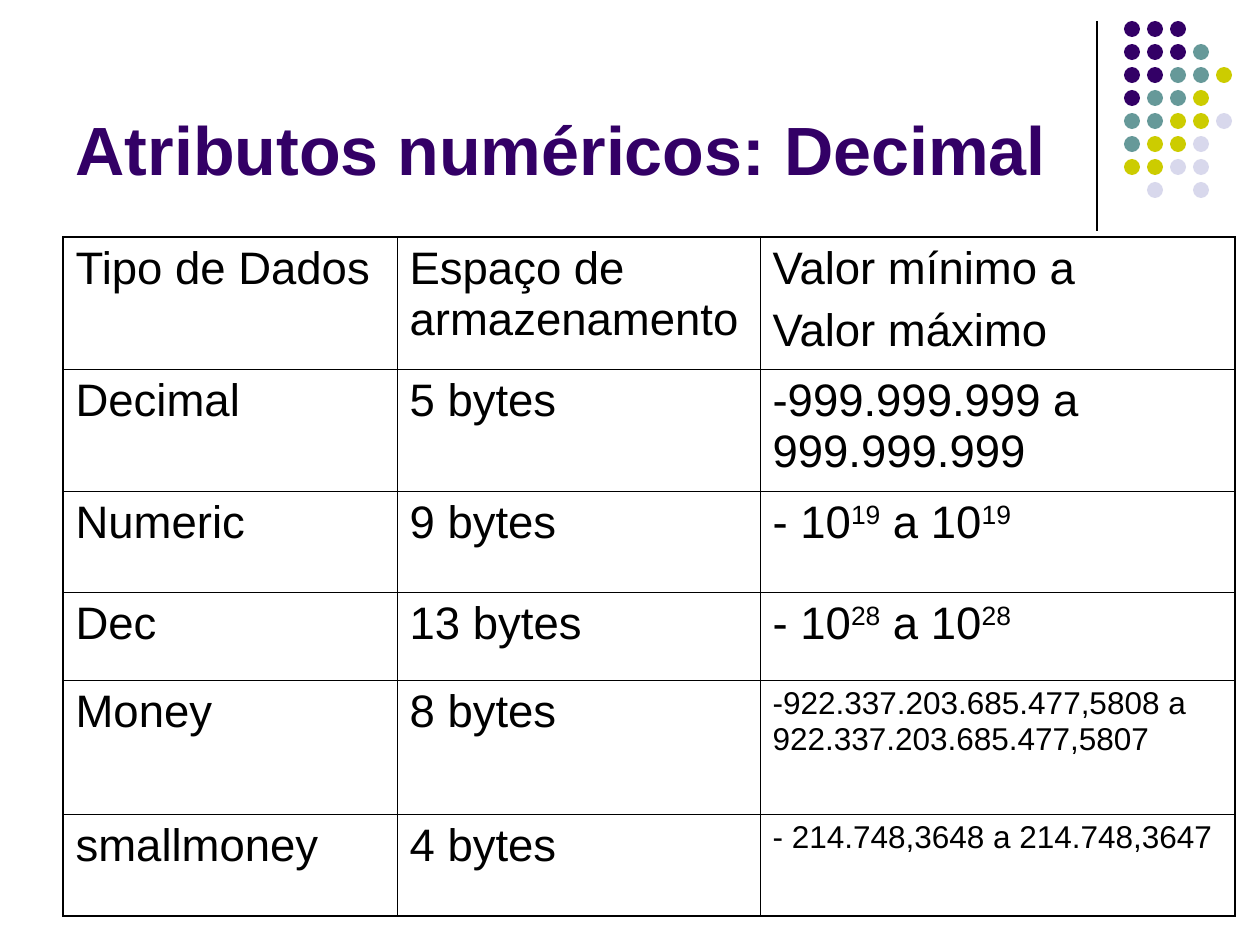
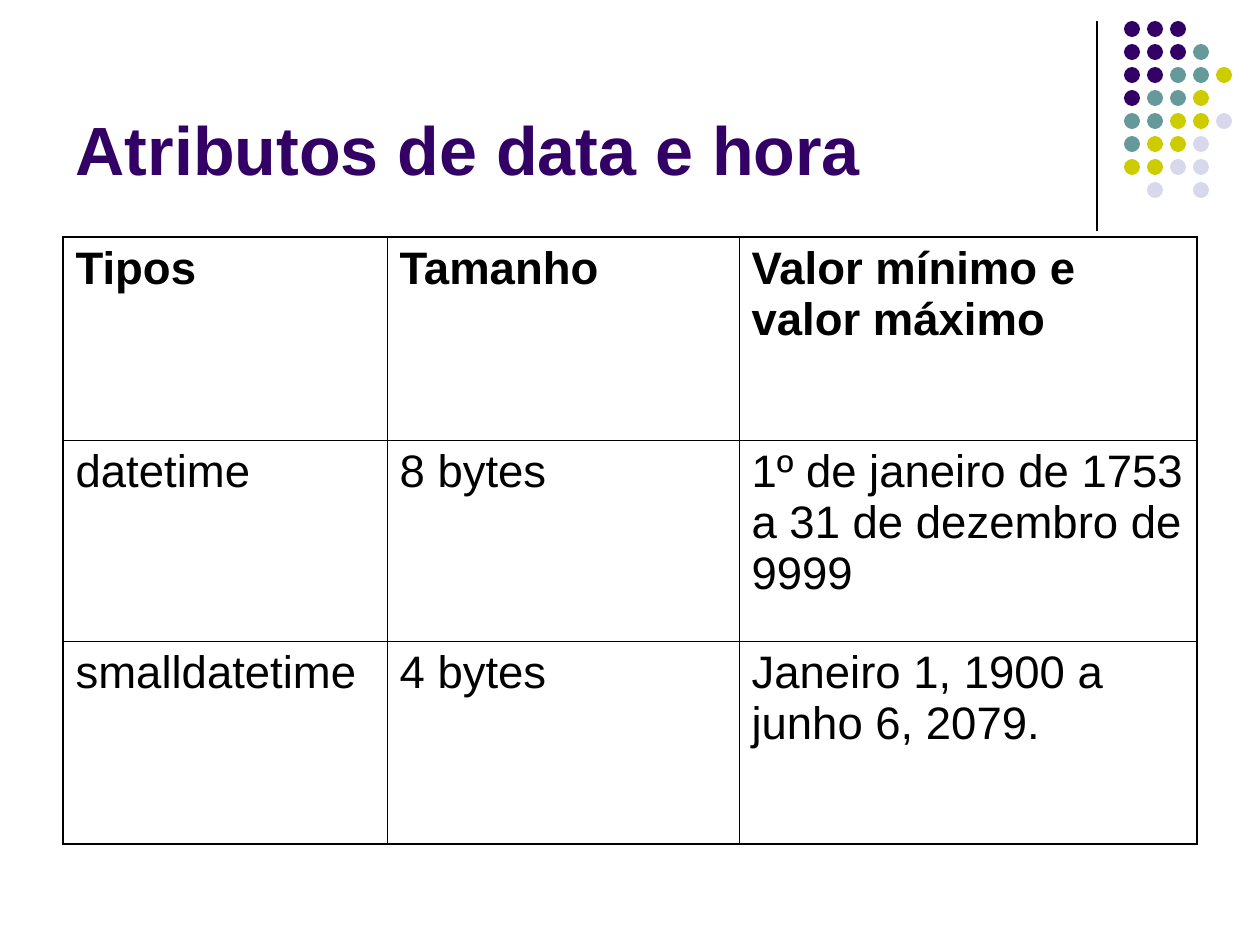
"""Build two slides on numeric and date attributes, each with a titled table."""
import dataclasses
import typing

import pptx
import pptx.dml.color
import pptx.enum.shapes
import pptx.enum.text
import pptx.oxml
import pptx.oxml.ns
import pptx.util

EMU_PER_PX = 914400 / 126
PURPLE = pptx.dml.color.RGBColor(0x33, 0x00, 0x66)
TEAL = pptx.dml.color.RGBColor(0x66, 0x99, 0x99)
OLIVE = pptx.dml.color.RGBColor(0xCC, 0xCC, 0x00)
LAVENDER = pptx.dml.color.RGBColor(0xD8, 0xD8, 0xEC)
BLACK = pptx.dml.color.RGBColor(0x00, 0x00, 0x00)
FONT = "Arial"
OUTER_BORDER = pptx.util.Pt(1.08)
INNER_BORDER = pptx.util.Pt(0.45)
TABLE_LEFT, TABLE_TOP = 63, 237
DOT_LEFT, DOT_TOP, DOT_PITCH, DOT_SIZE = 1124, 21, 23, 16
DOT_COLORS = {"P": PURPLE, "T": TEAL, "O": OLIVE, "L": LAVENDER}
DOT_ROWS = ("PPP", "PPPT", "PPTTO", "PTTO", "TTOOL", "TOOL", "OOLL", ".L.L")


@dataclasses.dataclass(frozen=True)
class Cell:
    text: str
    size: int = 26
    bold: bool = False


@dataclasses.dataclass(frozen=True)
class TableSlide:
    title: str
    column_widths: tuple[int, ...]
    row_heights: tuple[int, ...]
    rows: tuple[tuple[Cell, ...], ...]


TABLE_SLIDES = (
    TableSlide(
        "Atributos numéricos: Decimal",
        (334, 363, 475),
        (132, 122, 101, 88, 134, 102),
        (
            (Cell("Tipo de Dados"), Cell("Espaço de armazenamento"), Cell("Valor mínimo a\nValor máximo")),
            (Cell("Decimal"), Cell("5 bytes"), Cell("-999.999.999 a 999.999.999")),
            (Cell("Numeric"), Cell("9 bytes"), Cell("- 10^19^ a 10^19^")),
            (Cell("Dec"), Cell("13 bytes"), Cell("- 10^28^ a 10^28^")),
            (Cell("Money"), Cell("8 bytes"), Cell("-922.337.203.685.477,5808 a 922.337.203.685.477,5807", 18)),
            (Cell("smallmoney"), Cell("4 bytes"), Cell("- 214.748,3648 a 214.748,3647", 18)),
        ),
    ),
    TableSlide(
        "Atributos de data e hora",
        (324, 352, 458),
        (203, 201, 203),
        (
            (Cell("Tipos", bold=True), Cell("Tamanho", bold=True), Cell("Valor mínimo e valor máximo", bold=True)),
            (Cell("datetime"), Cell("8 bytes"), Cell("1º de janeiro de 1753 a 31 de dezembro de 9999")),
            (Cell("smalldatetime"), Cell("4 bytes"), Cell("Janeiro 1, 1900 a junho 6, 2079.")),
        ),
    ),
)


def px(length: int) -> pptx.util.Emu:
    return pptx.util.Emu(round(length * EMU_PER_PX))


def apply_format(target: typing.Any, values: dict[str, typing.Any]) -> None:
    for name, value in values.items():
        setattr(target, name, value)


def format_font(font: typing.Any, size: int, bold: bool, color: pptx.dml.color.RGBColor) -> None:
    apply_format(font, {"name": FONT, "size": pptx.util.Pt(size), "bold": bold})
    font.color.rgb = color


def add_title(slide: typing.Any, text: str) -> None:
    title = slide.shapes.title
    apply_format(title, {"left": px(63), "top": px(16), "width": px(1040), "height": px(179)})
    apply_format(title.text_frame, {
        "text": text,
        "word_wrap": True,
        "auto_size": pptx.enum.text.MSO_AUTO_SIZE.NONE,
        "vertical_anchor": pptx.enum.text.MSO_ANCHOR.BOTTOM,
    })
    paragraph = title.text_frame.paragraphs[0]
    paragraph.alignment = pptx.enum.text.PP_ALIGN.LEFT
    format_font(paragraph.runs[0].font, 39, True, PURPLE)


def add_corner_decoration(slide: typing.Any) -> None:
    divider = slide.shapes.add_connector(
        pptx.enum.shapes.MSO_CONNECTOR.STRAIGHT, px(1097), px(21), px(1097), px(231)
    )
    divider.line.color.rgb = BLACK
    divider.line.width = pptx.util.Pt(0.75)
    pptx.oxml.ns.qn("a:effectLst")
    divider._element.spPr.append(pptx.oxml.parse_xml(f"<a:effectLst {pptx.oxml.ns.nsdecls('a')}/>"))
    dots = slide.shapes.add_group_shape()
    for row, letters in enumerate(DOT_ROWS):
        for column, letter in enumerate(letters):
            if letter not in DOT_COLORS:
                continue
            dot = dots.shapes.add_shape(
                pptx.enum.shapes.MSO_SHAPE.OVAL,
                px(DOT_LEFT + column * DOT_PITCH), px(DOT_TOP + row * DOT_PITCH),
                px(DOT_SIZE), px(DOT_SIZE),
            )
            dot.shadow.inherit = False
            dot.fill.solid()
            dot.fill.fore_color.rgb = DOT_COLORS[letter]
            dot.line.fill.background()


def set_borders(table_cell: typing.Any, outer_sides: dict[str, bool]) -> None:
    properties = table_cell._tc.get_or_add_tcPr()
    for side, is_outer in outer_sides.items():
        width = OUTER_BORDER if is_outer else INNER_BORDER
        properties.append(pptx.oxml.parse_xml(
            f'<a:ln{side} {pptx.oxml.ns.nsdecls("a")} w="{int(width)}">'
            f'<a:solidFill><a:srgbClr val="{BLACK}"/></a:solidFill></a:ln{side}>'
        ))


def write_cell(table_cell: typing.Any, cell: Cell) -> None:
    frame = table_cell.text_frame
    for index, line in enumerate(cell.text.split("\n")):
        paragraph = frame.add_paragraph() if index else frame.paragraphs[0]
        if index:
            paragraph.space_before = pptx.util.Pt(6.5)
        for position, text in enumerate(line.split("^")):
            if not text:
                continue
            run = paragraph.add_run()
            run.text = text
            format_font(run.font, cell.size, cell.bold, BLACK)
            if position % 2:
                run._r.get_or_add_rPr().set("baseline", "30000")


def add_data_table(slide: typing.Any, content: TableSlide) -> None:
    widths, heights = content.column_widths, content.row_heights
    table = slide.shapes.add_table(
        len(heights), len(widths), px(TABLE_LEFT), px(TABLE_TOP), px(sum(widths)), px(sum(heights))
    ).table
    apply_format(table, {"first_row": False, "horz_banding": False})
    for column, width in zip(table.columns, widths):
        column.width = px(width)
    for row, height in zip(table.rows, heights):
        row.height = px(height)
    for row_index, cells in enumerate(content.rows):
        for column_index, cell in enumerate(cells):
            table_cell = table.cell(row_index, column_index)
            set_borders(table_cell, {
                "L": column_index == 0,
                "R": column_index == len(widths) - 1,
                "T": row_index == 0,
                "B": row_index == len(heights) - 1,
            })
            table_cell.fill.background()
            write_cell(table_cell, cell)


def main() -> None:
    presentation = pptx.Presentation()
    apply_format(presentation, {"slide_width": px(1260), "slide_height": px(945)})
    for content in TABLE_SLIDES:
        slide = presentation.slides.add_slide(presentation.slide_layouts[5])
        add_corner_decoration(slide)
        add_title(slide, content.title)
        add_data_table(slide, content)
    presentation.save("out.pptx")


if __name__ == "__main__":
    main()
